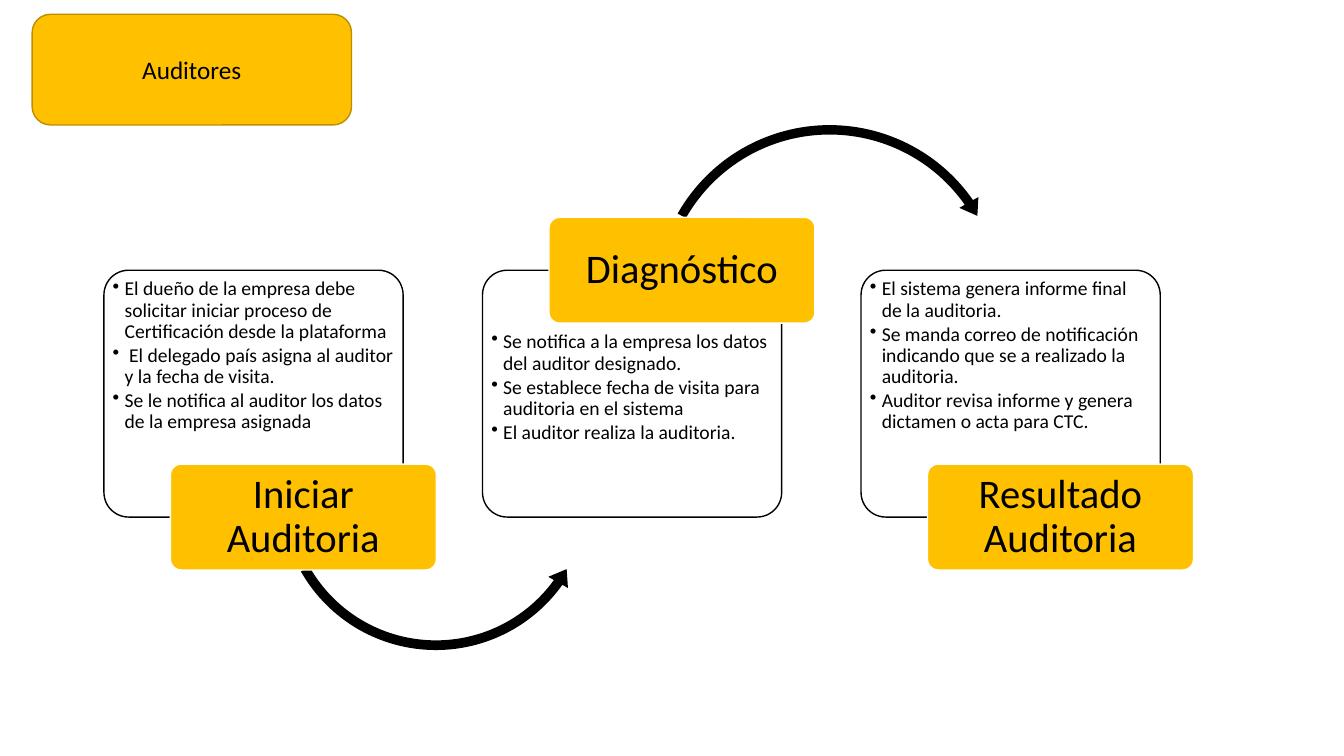
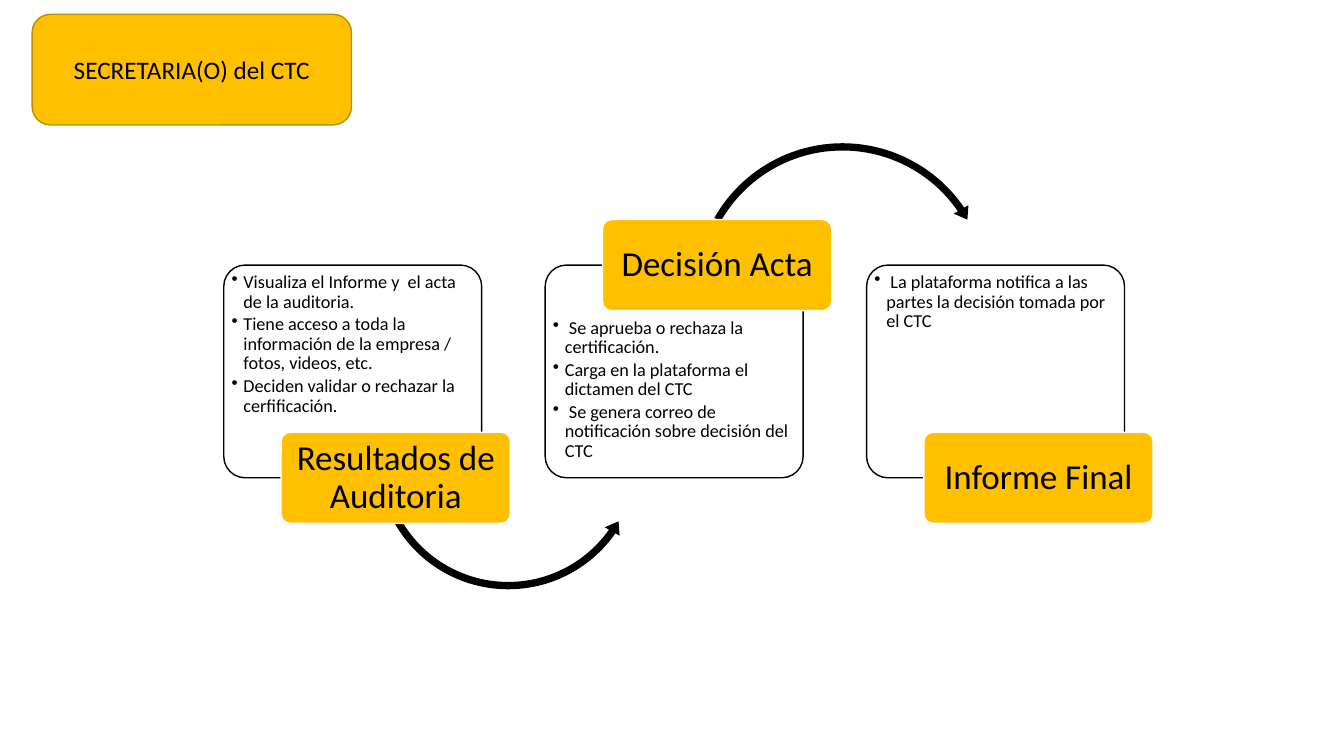
from dataclasses import dataclass

import lxml.etree
import pptx
import pptx.dml.color
import pptx.enum.shapes
import pptx.enum.text
import pptx.oxml.ns
import pptx.util

Cm, Pt = pptx.util.Cm, pptx.util.Pt
RGB = pptx.dml.color.RGBColor.from_string
SHAPE = pptx.enum.shapes.MSO_SHAPE
ALIGN = pptx.enum.text.PP_ALIGN
ANCHOR = pptx.enum.text.MSO_ANCHOR


@dataclass(frozen=True)
class Theme:
    font: str = "Calibri"
    text: str = "000000"
    accent: str = "FFC000"
    accent_edge: str = "BD8E00"
    paper: str = "FFFFFF"
    ink: str = "000000"
    title_size: float = 18
    line_width: float = 1
    corner: float = 0.1
    line_spacing: float = 0.9
    bullet_indent: float = 0.3


@dataclass(frozen=True)
class Arrow:
    """Size in cm, thickness in % of the size, angles in degrees."""
    size: float
    thickness: float
    head_angle: float
    tip_angle: float


@dataclass(frozen=True)
class Flow:
    """Row of alternating cards; lengths in cm, type sizes in points."""
    left: float
    top: float
    card_width: float
    card_height: float
    pitch: float
    bullet_size: float
    label_size: float
    label_insets: tuple
    lower_arrow: Arrow
    upper_arrow: Arrow


THEME = Theme()
TITLE_BOX = (0.81, 0.36, 8.05, 2.79)
ARROW_START = 150.4

AUDITORS = Flow(2.62, 6.81, 7.54, 6.22, 9.54, 14, 29, (0.15, 0.1),
                Arrow(8.15, 3, 6.03, 35.62), Arrow(9.12, 2.6, 5.35, 34.94))
SECRETARY = Flow(5.64, 6.68, 6.5, 5.36, 8.1, 13, 25, (0.13, 0.08),
                 Arrow(6.83, 2.7, 5.4, 35), Arrow(7.67, 2.4, 4.79, 34.38))

AUDITOR_STEPS = [
    ("Iniciar Auditoria", [
        "El dueño de la empresa debe solicitar iniciar proceso de Certificación desde la plataforma",
        " El delegado país asigna al auditor y la fecha de visita.",
        "Se le notifica al auditor los datos de la empresa asignada"]),
    ("Diagnóstico", [
        "Se notifica a la empresa los datos del auditor designado.",
        "Se establece fecha de visita para auditoria en el sistema",
        "El auditor realiza la auditoria."]),
    ("Resultado Auditoria", [
        "El sistema genera informe final de la auditoria.",
        "Se manda correo de notificación indicando que se a realizado la auditoria.",
        "Auditor revisa informe y genera dictamen o acta para CTC."]),
]
SECRETARY_STEPS = [
    ("Resultados de Auditoria", [
        "Visualiza el Informe y  el acta de la auditoria.",
        "Tiene acceso a toda la información de la empresa / fotos, videos, etc.",
        "Deciden validar o rechazar la cerfificación."]),
    ("Decisión Acta", [
        " Se aprueba o rechaza la certificación.",
        "Carga en la plataforma el dictamen del CTC",
        " Se genera correo de notificación sobre decisión del CTC"]),
    ("Informe Final", [
        " La plataforma notifica a las partes la decisión tomada por el CTC"]),
]


def add_figure(slide, kind, box, fill, edge=None):
    figure = slide.shapes.add_shape(kind, *(Cm(length) for length in box))
    figure.shadow.inherit = False
    figure.fill.solid()
    figure.fill.fore_color.rgb = RGB(fill)
    if edge:
        figure.line.color.rgb = RGB(edge)
        figure.line.width = Pt(THEME.line_width)
    else:
        figure.line.fill.background()
    return figure


def add_bullet(paragraph):
    properties = paragraph._p.get_or_add_pPr()
    indent = Cm(THEME.bullet_indent)
    properties.set("marL", str(indent))
    properties.set("indent", str(-indent))
    bullet = lxml.etree.SubElement(properties, pptx.oxml.ns.qn("a:buChar"))
    bullet.set("char", "•")


def write(figure, lines, size, insets=None, bulleted=False, spacing=None):
    """Fill a figure with paragraphs; insets are left, top, right, bottom in cm."""
    frame = figure.text_frame
    frame.word_wrap = True
    frame.vertical_anchor = ANCHOR.TOP if bulleted else ANCHOR.MIDDLE
    if insets:
        (frame.margin_left, frame.margin_top,
         frame.margin_right, frame.margin_bottom) = (Cm(inset) for inset in insets)
    for index, line in enumerate(lines):
        paragraph = frame.paragraphs[0] if index == 0 else frame.add_paragraph()
        paragraph.text = line
        paragraph.alignment = ALIGN.LEFT if bulleted else ALIGN.CENTER
        if bulleted:
            add_bullet(paragraph)
            paragraph.space_after = Pt(round(0.15 * size, 1))
        if spacing:
            paragraph.line_spacing = spacing
        paragraph.font.name = THEME.font
        paragraph.font.size = Pt(size)
        paragraph.font.color.rgb = RGB(THEME.text)


def add_title(slide, title):
    band = add_figure(slide, SHAPE.ROUNDED_RECTANGLE, TITLE_BOX, THEME.accent, THEME.accent_edge)
    write(band, [title], THEME.title_size)


def add_card(slide, flow, left, label_on_top, bullets):
    card = add_figure(slide, SHAPE.ROUNDED_RECTANGLE,
                      (left, flow.top, flow.card_width, flow.card_height),
                      THEME.paper, THEME.ink)
    card.adjustments[0] = THEME.corner
    inset, label_room = 0.04, flow.card_height * 3 / 14
    top = inset + (label_room if label_on_top else 0)
    bottom = inset + (0 if label_on_top else label_room)
    write(card, bullets, flow.bullet_size, (inset, top, inset, bottom), True, THEME.line_spacing)


def add_label(slide, flow, center_x, center_y, text):
    width, height = flow.card_width * 8 / 9, flow.card_height * 3 / 7
    label = add_figure(slide, SHAPE.ROUNDED_RECTANGLE,
                       (center_x - width / 2, center_y - height / 2, width, height),
                       THEME.accent, THEME.paper)
    label.adjustments[0] = THEME.corner
    write(label, [text], flow.label_size, flow.label_insets * 2, spacing=THEME.line_spacing)


def add_arrow(slide, flow, label_x, label_y, over):
    """Curve from a label to the next card, over or under the row."""
    if over:
        arrow, kind = flow.upper_arrow, SHAPE.CIRCULAR_ARROW
        center_x, center_y = label_x + 0.39 * flow.pitch, label_y + 0.12 * flow.card_height
        tip, start = 360 - arrow.tip_angle, 360 - ARROW_START
    else:
        arrow, kind = flow.lower_arrow, SHAPE.LEFT_CIRCULAR_ARROW
        center_x, center_y = label_x + 0.35 * flow.pitch, label_y - 0.09 * flow.card_height
        tip, start = arrow.tip_angle, ARROW_START
    curve = add_figure(slide, kind, (center_x - arrow.size / 2, center_y - arrow.size / 2,
                                     arrow.size, arrow.size), THEME.ink)
    thickness = arrow.thickness / 100
    angles = [angle * 60000 / 100000 for angle in (arrow.head_angle, tip, start)]
    for index, value in enumerate([thickness, *angles, thickness * 7 / 6]):
        curve.adjustments[index] = value


def add_flow(slide, flow, steps):
    for index, (label, bullets) in enumerate(steps):
        left = flow.left + index * flow.pitch
        label_on_top = index % 2 == 1
        label_x = left + flow.card_width * 2 / 3
        label_y = flow.top + (0 if label_on_top else flow.card_height)
        add_card(slide, flow, left, label_on_top, bullets)
        if index < len(steps) - 1:
            add_arrow(slide, flow, label_x, label_y, label_on_top)
        add_label(slide, flow, label_x, label_y, label)


def main():
    deck = pptx.Presentation()
    deck.slide_width, deck.slide_height = Cm(33.87), Cm(19.05)
    for title, flow, steps in [("Auditores", AUDITORS, AUDITOR_STEPS),
                               ("SECRETARIA(O) del CTC", SECRETARY, SECRETARY_STEPS)]:
        slide = deck.slides.add_slide(deck.slide_layouts[6])
        add_title(slide, title)
        add_flow(slide, flow, steps)
    deck.save("out.pptx")


if __name__ == "__main__":
    main()
